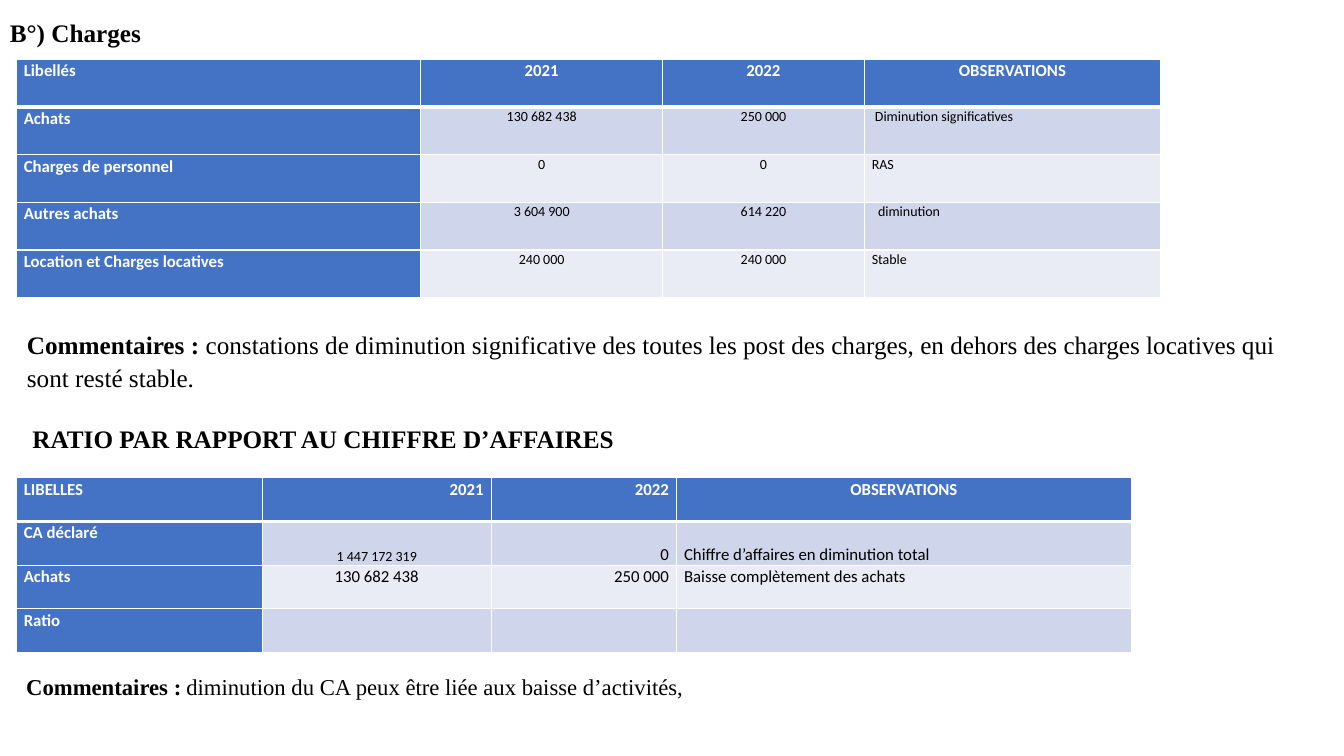
import pptx
import pptx.dml.color
import pptx.enum.text
import pptx.oxml
import pptx.oxml.ns
import pptx.util

Cm = pptx.util.Cm
Pt = pptx.util.Pt
RGBColor = pptx.dml.color.RGBColor
ALIGN = pptx.enum.text.PP_ALIGN
ANCHOR = pptx.enum.text.MSO_ANCHOR

BLACK = RGBColor(0x00, 0x00, 0x00)
WHITE = RGBColor(0xFF, 0xFF, 0xFF)
BLUE = RGBColor(0x44, 0x72, 0xC4)
BANDS = (RGBColor(0xCF, 0xD5, 0xEA), RGBColor(0xE9, 0xEB, 0xF5))

SERIF = "Times New Roman"
SANS = "Calibri"
TITLE = dict(name=SERIF, size=Pt(18), bold=True)
BODY = dict(name=SERIF, size=Pt(18), bold=False)
LABEL = dict(name=SANS, size=Pt(12), bold=True)
VALUE = dict(name=SANS, size=Pt(12), bold=False)
SMALL = dict(name=SANS, size=Pt(10), bold=False)
NOTE_TITLE = dict(name=SERIF, size=Pt(28), bold=True)
NOTE_GAP = dict(name=SANS, size=Pt(16), bold=False)
NOTE_BODY = dict(name=SERIF, size=Pt(28), bold=False)


class ReportSlide:
    """Hold the slide and draw the report's texts and tables in one style."""

    paragraph_format = dict(line_spacing=1.07, space_after=Pt(8))
    cell_format = dict(margin_left=Cm(0.19), margin_right=Cm(0.19),
                       margin_top=0, margin_bottom=0)

    def __init__(self, deck):
        self.slide = deck.slides.add_slide(deck.slide_layouts[6])

    def apply(self, target, values):
        for attribute, value in values.items():
            setattr(target, attribute, value)

    def fill_paragraph(self, paragraph, pieces, alignment, color=BLACK, baseline=None):
        self.apply(paragraph, dict(self.paragraph_format, alignment=alignment))
        for wording, font in pieces:
            run = paragraph.add_run()
            run.text = wording
            self.apply(run.font, font)
            run.font.color.rgb = color
            if baseline and font["name"] == SERIF:
                run.font._element.set("baseline", baseline)

    def text(self, left, top, width, height, pieces,
             alignment=ALIGN.LEFT, baseline=None):
        frame = self.slide.shapes.add_textbox(
            Cm(left), Cm(top), Cm(width), Cm(height)).text_frame
        frame.word_wrap = True
        frame.auto_size = pptx.enum.text.MSO_AUTO_SIZE.SHAPE_TO_FIT_TEXT
        self.fill_paragraph(frame.paragraphs[0], pieces, alignment, baseline=baseline)

    def border(self, cell, row):
        properties = cell._tc.get_or_add_tcPr()
        heavy = {(0, "B"), (1, "T")}
        for side in "LRTB":
            width = Pt(3 if (row, side) in heavy else 1)
            properties.append(pptx.oxml.parse_xml(
                f'<a:ln{side} {pptx.oxml.ns.nsdecls("a")} w="{width}">'
                f'<a:solidFill><a:srgbClr val="{WHITE}"/></a:solidFill>'
                f'</a:ln{side}>'))

    def table(self, left, top, widths, row_height, rows, header_aligns,
              value_aligns, value_font, exceptions=None, bottom_rows=()):
        grid = self.slide.shapes.add_table(
            len(rows), len(widths), Cm(left), Cm(top),
            Cm(sum(widths)), Cm(row_height * len(rows))).table
        for column, width in zip(grid.columns, widths):
            column.width = Cm(width)
        for r, wordings in enumerate(rows):
            grid.rows[r].height = Cm(row_height)
            for c, wording in enumerate(wordings):
                cell = grid.cell(r, c)
                is_label = r == 0 or c == 0
                self.apply(cell, self.cell_format)
                if r in bottom_rows and not is_label:
                    cell.vertical_anchor = ANCHOR.BOTTOM
                self.border(cell, r)
                cell.fill.solid()
                cell.fill.fore_color.rgb = BLUE if is_label else BANDS[(r - 1) % 2]
                font = LABEL if is_label else (exceptions or {}).get((r, c), value_font)
                aligns = header_aligns if r == 0 else value_aligns
                if wording:
                    self.fill_paragraph(cell.text_frame.paragraphs[0], [(wording, font)],
                                        aligns[c], WHITE if is_label else BLACK)


def main():
    deck = pptx.Presentation()
    deck.slide_width, deck.slide_height = Cm(33.87), Cm(19.05)
    report = ReportSlide(deck)
    left, center, right, justify = ALIGN.LEFT, ALIGN.CENTER, ALIGN.RIGHT, ALIGN.JUSTIFY

    report.text(0, 0.25, 16.94, 1.04, [("B°) Charges", TITLE)], justify)
    report.table(
        0.41, 1.5, (10.19, 6.1, 5.08, 7.47), 1.2,
        [("Libellés", "2021", "2022", "OBSERVATIONS"),
         ("Achats ", "130 682 438", "250 000", " Diminution significatives"),
         ("Charges de personnel", "0", "0", "RAS"),
         ("Autres achats", "3 604 900", "614 220", "  diminution"),
         ("Location et Charges locatives", "240 000", "240 000", "Stable")],
        (justify, center, center, center), (justify, center, center, left), SMALL)
    report.text(0.43, 8.13, 33.02, 1.85, [
        ("Commentaires : ", TITLE),
        ("constations de diminution significative des toutes les post des charges, "
         "en dehors des charges locatives qui sont resté stable.", BODY)])
    report.text(0.41, 10.49, 17.02, 1.04,
                [(" RATIO PAR RAPPORT AU CHIFFRE D’AFFAIRES", TITLE)])
    report.table(
        0.41, 12.04, (6.2, 5.77, 4.67, 11.46), 1.1,
        [("LIBELLES", "2021", "2022", "OBSERVATIONS"),
         ("CA déclaré", "1 447 172 319", "0", "Chiffre d’affaires en diminution total"),
         ("Achats ", "130 682 438", "250 000", "Baisse complètement des achats"),
         ("Ratio", "", "", "")],
        (justify, right, right, center), (justify, center, right, left), VALUE,
        exceptions={(1, 1): SMALL}, bottom_rows=(1,))
    report.text(0.41, 16.08, 27.05, 1.47, [
        ("Commentaires :", NOTE_TITLE),
        (" ", NOTE_GAP),
        ("diminution du CA peux être liée aux baisse d’activités,", NOTE_BODY)],
        baseline="-25000")
    deck.save("out.pptx")


if __name__ == "__main__":
    main()
